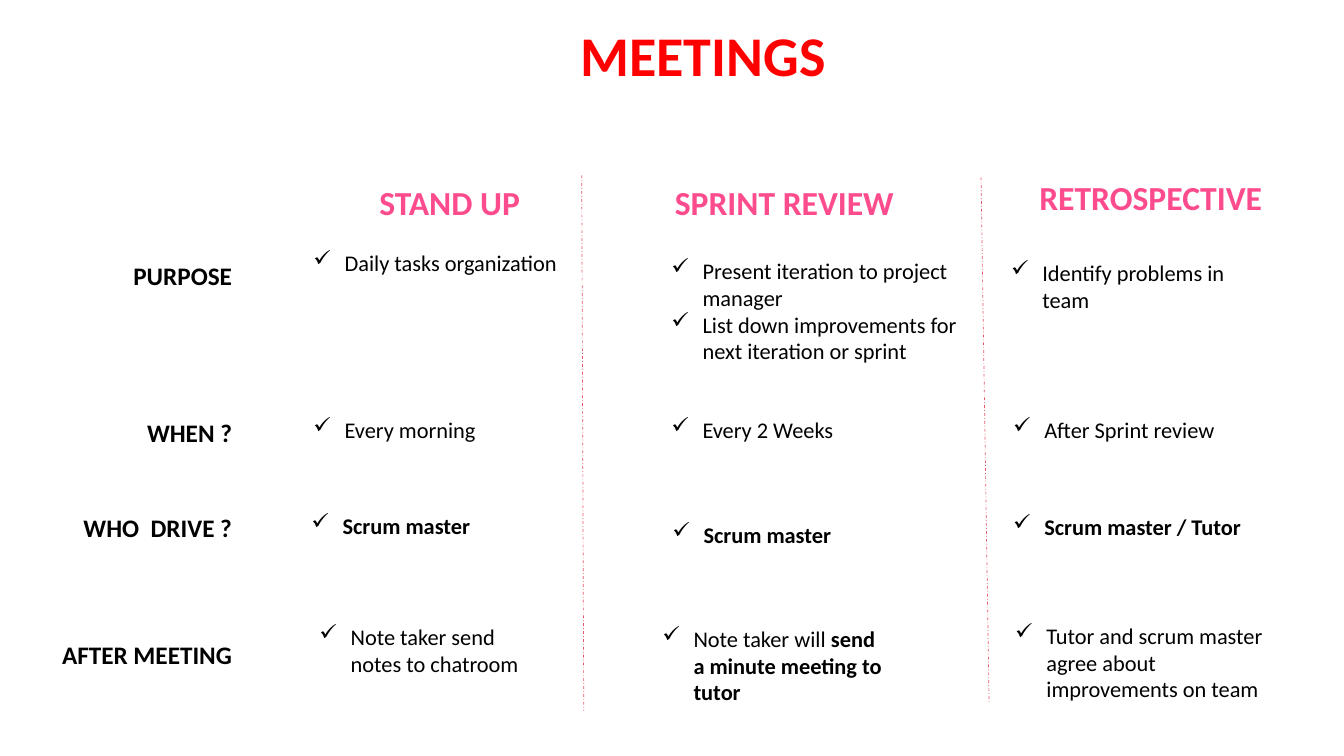
from dataclasses import dataclass

from lxml.etree import SubElement
from pptx import Presentation
from pptx.dml.color import RGBColor as RGB
from pptx.enum.dml import MSO_LINE_DASH_STYLE as Dash
from pptx.enum.shapes import MSO_CONNECTOR as Connector
from pptx.enum.text import PP_ALIGN as Align
from pptx.oxml.ns import qn
from pptx.util import Inches, Pt


@dataclass(frozen=True)
class Theme:
    """Colours, font and type sizes of the slide."""
    font: str = "Calibri"
    red: RGB = RGB(0xFF, 0x00, 0x00)
    pink: RGB = RGB(0xFD, 0x4C, 0x8E)
    rose: RGB = RGB(0xE9, 0x55, 0x6B)
    black: RGB = RGB(0x00, 0x00, 0x00)
    title: Pt = Pt(40)
    heading: Pt = Pt(24)
    label: Pt = Pt(18)
    body: Pt = Pt(16)


THEME = Theme()
LABEL_LEFT, LABEL_WIDTH = 0.5, 1.9
HEADING_WIDTH = 3.1

HEADINGS = [
    ("STAND UP", 2.91, 1.76, Align.CENTER),
    ("SPRINT REVIEW", 6.23, 1.76, Align.CENTER),
    ("RETROSPECTIVE", 10.21, 1.71, Align.LEFT),
]
ROW_LABELS = [
    ("PURPOSE", 2.53),
    ("WHEN ?", 4.09),
    ("WHO  DRIVE ?", 5.03),
    ("AFTER MEETING", 6.29),
]
DIVIDERS = [(5.77, 1.74, 5.79, 7.05), (9.73, 1.76, 9.81, 6.97)]

STAND_UP = [
    ((3.01, 2.42, 2.7, 0.37), [[("Daily tasks organization", False)]]),
    ((3.01, 4.08, 2.7, 0.37), [[("Every morning", False)]]),
    ((2.99, 5.03, 2.7, 0.37), [[("Scrum master", True)]]),
    ((3.07, 6.13, 2.47, 0.64), [[("Note taker send notes to chatroom", False)]]),
]
SPRINT_REVIEW = [
    ((6.56, 2.5, 3.12, 1.18), [
        [("Present iteration to project manager", False)],
        [("List down improvements for next iteration or sprint", False)],
    ]),
    ((6.56, 4.08, 2.7, 0.37), [[("Every 2 Weeks", False)]]),
    ((6.57, 5.12, 2.7, 0.37), [[("Scrum master", True)]]),
    ((6.47, 6.15, 2.41, 0.91), [
        [("Note taker will ", False), ("send a minute meeting to tutor", True)],
    ]),
]
RETROSPECTIVE = [
    ((9.93, 2.52, 2.61, 0.64), [[("Identify problems in team", False)]]),
    ((9.95, 4.08, 2.7, 0.37), [[("After Sprint review", False)]]),
    ((9.95, 5.04, 2.7, 0.37), [[("Scrum master / Tutor", True)]]),
    ((9.97, 6.12, 2.91, 0.91), [
        [("Tutor and scrum master agree about improvements on team", False)],
    ]),
]


def add_frame(slide, place):
    """Add a wrapping text box and return its text frame."""
    frame = slide.shapes.add_textbox(*map(Inches, place)).text_frame
    frame.word_wrap = True
    return frame


def add_run(paragraph, text, size, color, bold):
    """Append a formatted run to a paragraph."""
    run = paragraph.add_run()
    run.text = text
    style = {"name": THEME.font, "size": size, "bold": bold}
    for attribute, value in style.items():
        setattr(run.font, attribute, value)
    run.font.color.rgb = color


def add_caption(slide, text, place, size, color, align):
    """Add one bold line of text."""
    paragraph = add_frame(slide, place).paragraphs[0]
    paragraph.alignment = align
    add_run(paragraph, text, size, color, True)


def set_check_bullet(paragraph):
    """Give a paragraph a check mark and a hanging indent."""
    properties = paragraph._p.get_or_add_pPr()
    properties.set("marL", str(Inches(0.31)))
    properties.set("indent", str(Inches(-0.31)))
    SubElement(properties, qn("a:buChar"), char="✓")


def add_checklist(slide, place, items):
    """Add a list of check-marked items, each made of text and bold pairs."""
    frame = add_frame(slide, place)
    for index, item in enumerate(items):
        paragraph = frame.add_paragraph() if index else frame.paragraphs[0]
        set_check_bullet(paragraph)
        for text, bold in item:
            add_run(paragraph, text, THEME.body, THEME.black, bold)


def add_divider(slide, ends):
    """Add a thin dash-dot line between two columns."""
    divider = slide.shapes.add_connector(Connector.STRAIGHT, *map(Inches, ends))
    divider.line.color.rgb = THEME.rose
    divider.line.width = Pt(0.5)
    divider.line.dash_style = Dash.DASH_DOT
    SubElement(divider._element.spPr, qn("a:effectLst"))


def main():
    """Build the meetings slide and save it."""
    deck = Presentation()
    deck.slide_width, deck.slide_height = Inches(13.33), Inches(7.5)
    slide = deck.slides.add_slide(deck.slide_layouts[6])

    add_caption(slide, "MEETINGS", (5.66, 0.15, 2.8, 0.77),
                THEME.title, THEME.red, Align.LEFT)
    for text, left, top, align in HEADINGS:
        add_caption(slide, text, (left, top, HEADING_WIDTH, 0.5),
                    THEME.heading, THEME.pink, align)
    for text, top in ROW_LABELS:
        add_caption(slide, text, (LABEL_LEFT, top, LABEL_WIDTH, 0.4),
                    THEME.label, THEME.black, Align.RIGHT)
    for place, items in STAND_UP + SPRINT_REVIEW + RETROSPECTIVE:
        add_checklist(slide, place, items)
    for ends in DIVIDERS:
        add_divider(slide, ends)

    deck.save("out.pptx")


if __name__ == "__main__":
    main()
